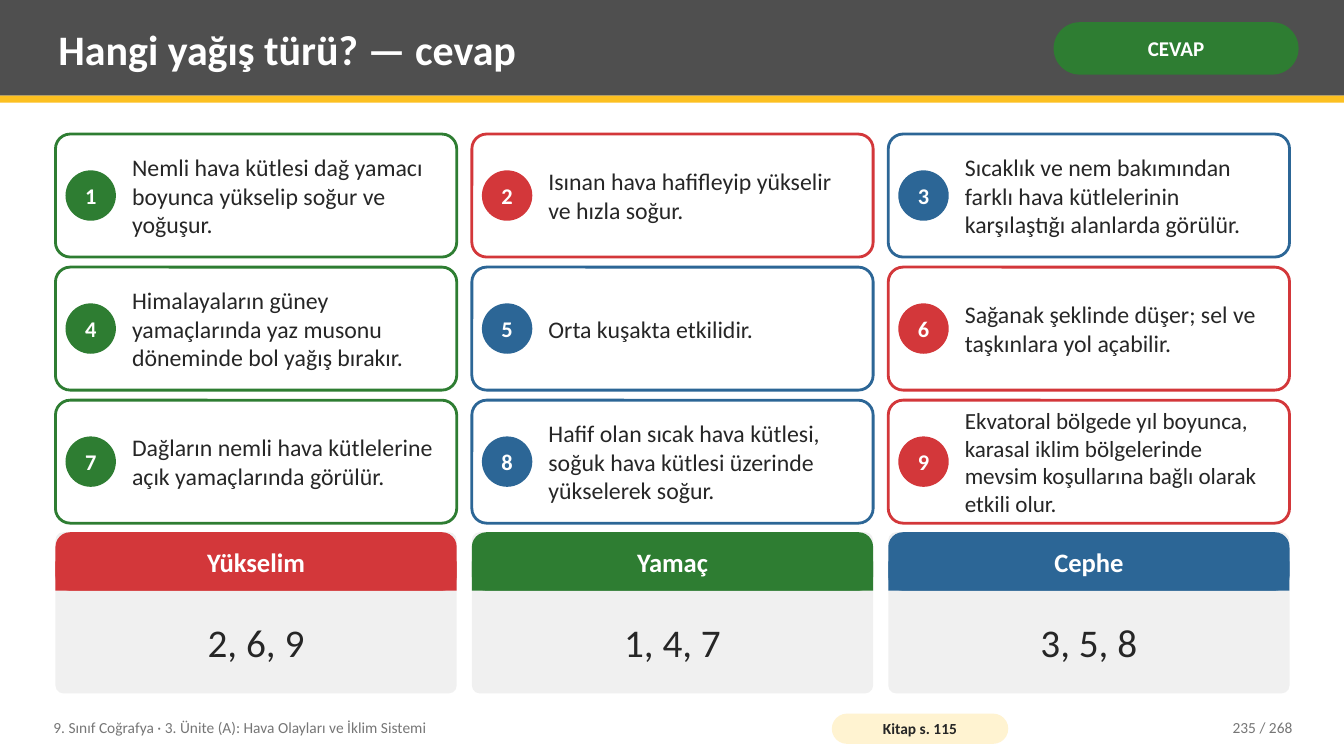
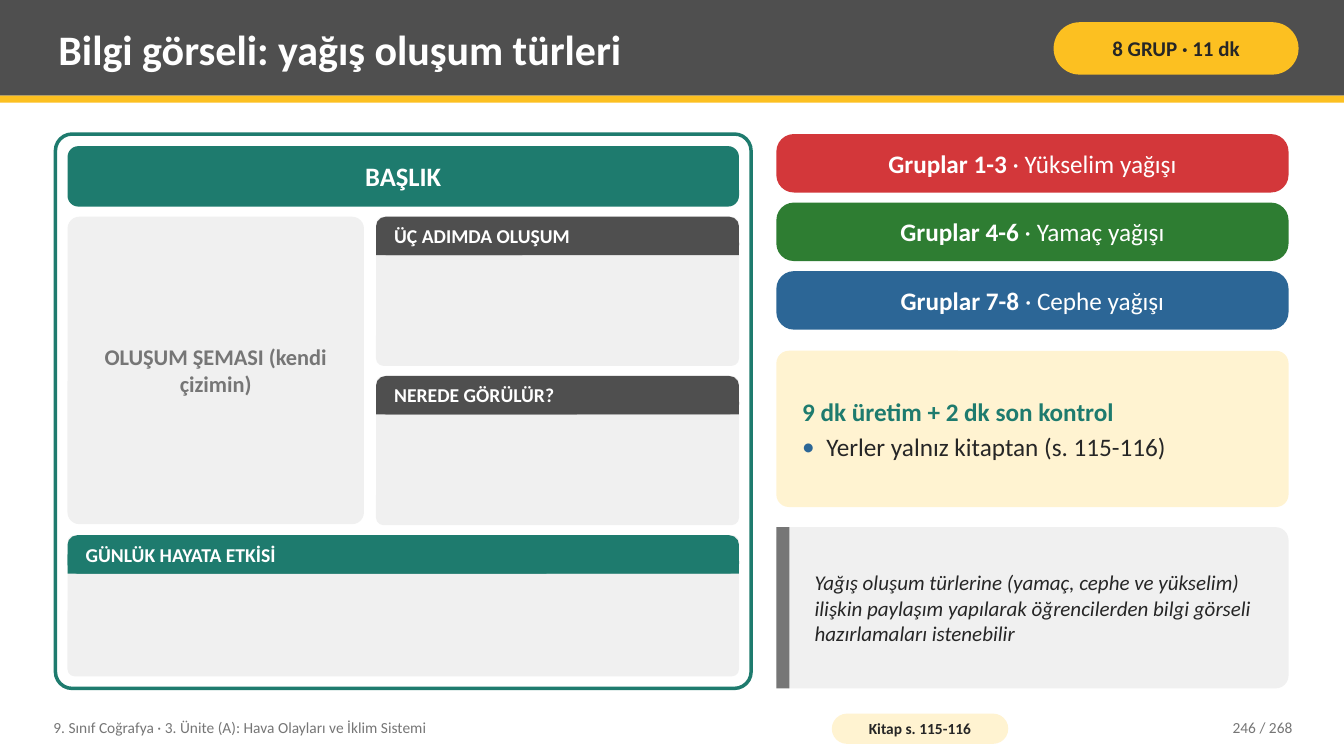
from collections import namedtuple

from lxml import etree
from pptx import Presentation
from pptx import util as u
from pptx.dml.color import RGBColor
from pptx.enum import shapes, text
from pptx.oxml import ns

# Shared look
FONT = "Calibri"
WHITE, INK, GREY, DARK, PALE = "FFFFFF", "262626", "767676", "4F4F4F", "F0F0F0"
YELLOW, CREAM, TEAL = "FCC021", "FFF3D1", "1E7B6E"
RED, GREEN, BLUE = "D3373A", "2E7D32", "2C6696"

WIDTH, HEIGHT = 13.33, 7.5
LEFT, TOP, CONTENT_WIDTH = 0.55, 1.33, 12.24
COLUMN_GAP, ROW_GAP = 0.15, 0.1
TEXT_MARGINS = (0.08, 0.04)
FOOTER = "9. Sınıf Coğrafya · 3. Ünite (A): Hava Olayları ve İklim Sistemi"

RECT = shapes.MSO_SHAPE.RECTANGLE
ROUND = shapes.MSO_SHAPE.ROUNDED_RECTANGLE
OVAL = shapes.MSO_SHAPE.OVAL
ALIGN = text.PP_ALIGN

Box = namedtuple("Box", "left top width height")

# Rain types: name, colour, matching statements, groups
RAIN_TYPES = [
    ("Yükselim", RED, (2, 6, 9), "1-3"),
    ("Yamaç", GREEN, (1, 4, 7), "4-6"),
    ("Cephe", BLUE, (3, 5, 8), "7-8"),
]
STATEMENTS = [
    "Nemli hava kütlesi dağ yamacı boyunca yükselip soğur ve yoğuşur.",
    "Isınan hava hafifleyip yükselir ve hızla soğur.",
    "Sıcaklık ve nem bakımından farklı hava kütlelerinin karşılaştığı alanlarda görülür.",
    "Himalayaların güney yamaçlarında yaz musonu döneminde bol yağış bırakır.",
    "Orta kuşakta etkilidir.",
    "Sağanak şeklinde düşer; sel ve taşkınlara yol açabilir.",
    "Dağların nemli hava kütlelerine açık yamaçlarında görülür.",
    "Hafif olan sıcak hava kütlesi, soğuk hava kütlesi üzerinde yükselerek soğur.",
    "Ekvatoral bölgede yıl boyunca, karasal iklim bölgelerinde mevsim koşullarına "
    "bağlı olarak etkili olur.",
]


def grid(area, columns, rows):
    """Equal boxes, row by row, with the standard gaps between them."""
    width = (area.width - COLUMN_GAP * (columns - 1)) / columns
    height = (area.height - ROW_GAP * (rows - 1)) / rows
    return [Box(area.left + column * (width + COLUMN_GAP),
                area.top + row * (height + ROW_GAP), width, height)
            for row in range(rows) for column in range(columns)]


def inset(box, across, down=0):
    return Box(box.left + across, box.top + down,
               box.width - 2 * across, box.height - 2 * down)


def lengths(box):
    return [u.Inches(length) for length in box]


def paint(color_format, color):
    color_format.rgb = RGBColor.from_string(color)


# Text
def add_run(paragraph, words, size, color, **font_values):
    run = paragraph.add_run()
    run.text = words
    values = {"name": FONT, "size": u.Pt(size), **font_values}
    for name, value in values.items():
        setattr(run.font, name, value)
    paint(run.font.color, color)


def prepare_frame(shape, margins, wrap=True):
    across, down = map(u.Inches, margins)
    values = {"margin_left": across, "margin_right": across,
              "margin_top": down, "margin_bottom": down,
              "word_wrap": wrap, "vertical_anchor": text.MSO_ANCHOR.MIDDLE}
    for name, value in values.items():
        setattr(shape.text_frame, name, value)
    return shape.text_frame


def write(shape, words, size, color, align=ALIGN.CENTER, margins=TEXT_MARGINS,
          wrap=True, **font_values):
    paragraph = prepare_frame(shape, margins, wrap).paragraphs[0]
    paragraph.alignment = align
    add_run(paragraph, words, size, color, **font_values)
    return paragraph


def add_text(slide, box, words, size, color, align=ALIGN.LEFT, **font_values):
    shape = slide.shapes.add_textbox(*lengths(box))
    write(shape, words, size, color, align, **font_values)


def add_bullet(paragraph, color, indent):
    properties = paragraph._p.get_or_add_pPr()
    properties.set("marL", str(u.Inches(indent)))
    properties.set("indent", str(-u.Inches(indent)))
    bullet_color = etree.SubElement(properties, ns.qn("a:buClr"))
    etree.SubElement(bullet_color, ns.qn("a:srgbClr"), val=color)
    etree.SubElement(properties, ns.qn("a:buFont"), typeface=FONT)
    etree.SubElement(properties, ns.qn("a:buChar"), char="•")


# Shapes
def add_block(slide, box, fill, kind=RECT, corner=None, line=None, line_width=2):
    shape = slide.shapes.add_shape(kind, *lengths(box))
    shape.shadow.inherit = False
    shape.fill.solid()
    paint(shape.fill.fore_color, fill)
    if corner is not None:
        shape.adjustments[0] = corner
    if line:
        paint(shape.line.color, line)
        shape.line.width = u.Pt(line_width)
    else:
        shape.line.fill.background()
    return shape


def add_panel(slide, box, title, color, header_height, size, align=ALIGN.LEFT):
    """Pale panel whose header is round above and square below."""
    header = box._replace(height=header_height)
    half = header_height / 2
    add_block(slide, box, PALE, ROUND, 0.05)
    add_block(slide, header, color, ROUND, 0.25)
    add_block(slide, header._replace(top=box.top + half, height=half), color)
    add_text(slide, inset(header, 0.1), title, size, WHITE, align, bold=True)


def add_statement(slide, box, number, words, color):
    add_block(slide, box, WHITE, ROUND, 0.12, color)
    diameter = 0.5
    badge = Box(box.left + 0.1, box.top + (box.height - diameter) / 2, diameter, diameter)
    write(add_block(slide, badge, color, OVAL), str(number), 16, WHITE,
          margins=(0, 0), wrap=False, bold=True)
    size = 16.5 if len(words) > 90 else 17
    add_text(slide, Box(box.left + 0.68, box.top, box.width - 0.75, box.height),
             words, size, INK)


def add_slide(presentation, title, tag, tag_fill, tag_color, pages, number):
    """Blank slide with title band, tag and footer."""
    slide = presentation.slides.add_slide(presentation.slide_layouts[6])
    add_block(slide, Box(0, 0, WIDTH, 0.95), DARK)
    add_block(slide, Box(0, 0.95, WIDTH, 0.07), YELLOW)
    add_text(slide, Box(0.5, 0.07, 9.75, 0.82), title, 30, WHITE, bold=True)
    write(add_block(slide, Box(10.45, 0.22, 2.43, 0.52), tag_fill, ROUND, 0.5),
          tag, 15, tag_color, margins=(0.05, 0.02), bold=True)
    add_text(slide, Box(0.45, 7.04, 7.6, 0.36), FOOTER, 11, GREY)
    write(add_block(slide, Box(8.25, 7.08, 1.75, 0.3), CREAM, ROUND, 0.5),
          f"Kitap s. {pages}", 11, INK, margins=(0.04, 0), bold=True)
    add_text(slide, Box(11.3, 7.04, 1.6, 0.36), f"{number} / 268", 11, GREY, ALIGN.RIGHT)
    return slide


# Slides
def build_answers(presentation):
    slide = add_slide(presentation, "Hangi yağış türü? — cevap", "CEVAP",
                      GREEN, WHITE, "115", 235)
    colors = {number: color for _, color, numbers, _ in RAIN_TYPES for number in numbers}
    boxes = grid(Box(LEFT, TOP, CONTENT_WIDTH, 3.86), 3, 3)
    for number, (box, words) in enumerate(zip(boxes, STATEMENTS), 1):
        add_statement(slide, box, number, words, colors[number])

    boxes = grid(Box(LEFT, 5.28, CONTENT_WIDTH, 1.6), 3, 1)
    for box, (name, color, numbers, _) in zip(boxes, RAIN_TYPES):
        add_panel(slide, box, name, color, 0.58, 19, ALIGN.CENTER)
        answer = inset(box._replace(top=box.top + 0.58, height=box.height - 0.58), 0.12, 0.08)
        add_text(slide, answer, ", ".join(map(str, numbers)), 28, INK, ALIGN.CENTER)


def build_poster(slide):
    frame = Box(LEFT, TOP, 6.9, 5.5)
    add_block(slide, frame, WHITE, ROUND, 0.03, TEAL, 2.5)
    inside = inset(frame, 0.12, 0.12)
    write(add_block(slide, inside._replace(height=0.6), TEAL, ROUND, 0.18),
          "BAŞLIK", 19, WHITE, margins=(0.1, 0.02), bold=True)

    sketch = Box(inside.left, 2.15, 2.94, 3.05)
    add_block(slide, sketch, PALE, ROUND, 0.04)
    add_text(slide, sketch, "OLUŞUM ŞEMASI (kendi çizimin)", 16, GREY,
             ALIGN.CENTER, bold=True)

    boxes = grid(Box(3.73, sketch.top, 3.6, 3.06), 1, 2)
    for box, title in zip(boxes, ("ÜÇ ADIMDA OLUŞUM", "NEREDE GÖRÜLÜR?")):
        add_panel(slide, box, title, DARK, 0.38, 14)
    add_panel(slide, inside._replace(top=5.31, height=1.4),
              "GÜNLÜK HAYATA ETKİSİ", TEAL, 0.38, 14)


def build_instructions(slide):
    side = Box(7.7, TOP, 5.08, 1.94)
    for box, (name, color, _, groups) in zip(grid(side, 1, 3), RAIN_TYPES):
        paragraph = write(add_block(slide, box, color, ROUND, 0.3), f"Gruplar {groups}",
                          18, WHITE, margins=(0.06, 0), bold=True)
        add_run(paragraph, f" · {name} yağışı", 18, WHITE)

    # Timing
    timing = add_block(slide, side._replace(top=3.48, height=1.55), CREAM, ROUND, 0.08)
    heading = write(timing, "9 dk üretim + 2 dk son kontrol", 18, TEAL, ALIGN.LEFT,
                    (0.22, 0.08), bold=True)
    heading.space_after = u.Pt(4)
    rule = timing.text_frame.add_paragraph()
    rule.alignment = ALIGN.LEFT
    add_bullet(rule, BLUE, 0.24)
    add_run(rule, "Yerler yalnız kitaptan (s. 115-116)", 18, INK)

    # Quotation
    quotation = side._replace(top=5.23, height=1.6)
    add_block(slide, quotation, PALE, ROUND, 0.08)
    add_block(slide, quotation._replace(width=0.13), GREY)
    add_text(slide, quotation._replace(left=8, width=4.63),
             "Yağış oluşum türlerine (yamaç, cephe ve yükselim) ilişkin paylaşım yapılarak "
             "öğrencilerden bilgi görseli hazırlamaları istenebilir", 15, INK, italic=True)


def main():
    presentation = Presentation()
    presentation.slide_width = u.Inches(WIDTH)
    presentation.slide_height = u.Inches(HEIGHT)
    build_answers(presentation)
    poster_slide = add_slide(presentation, "Bilgi görseli: yağış oluşum türleri",
                             "8 GRUP · 11 dk", YELLOW, INK, "115-116", 246)
    build_poster(poster_slide)
    build_instructions(poster_slide)
    presentation.save("out.pptx")


if __name__ == "__main__":
    main()
